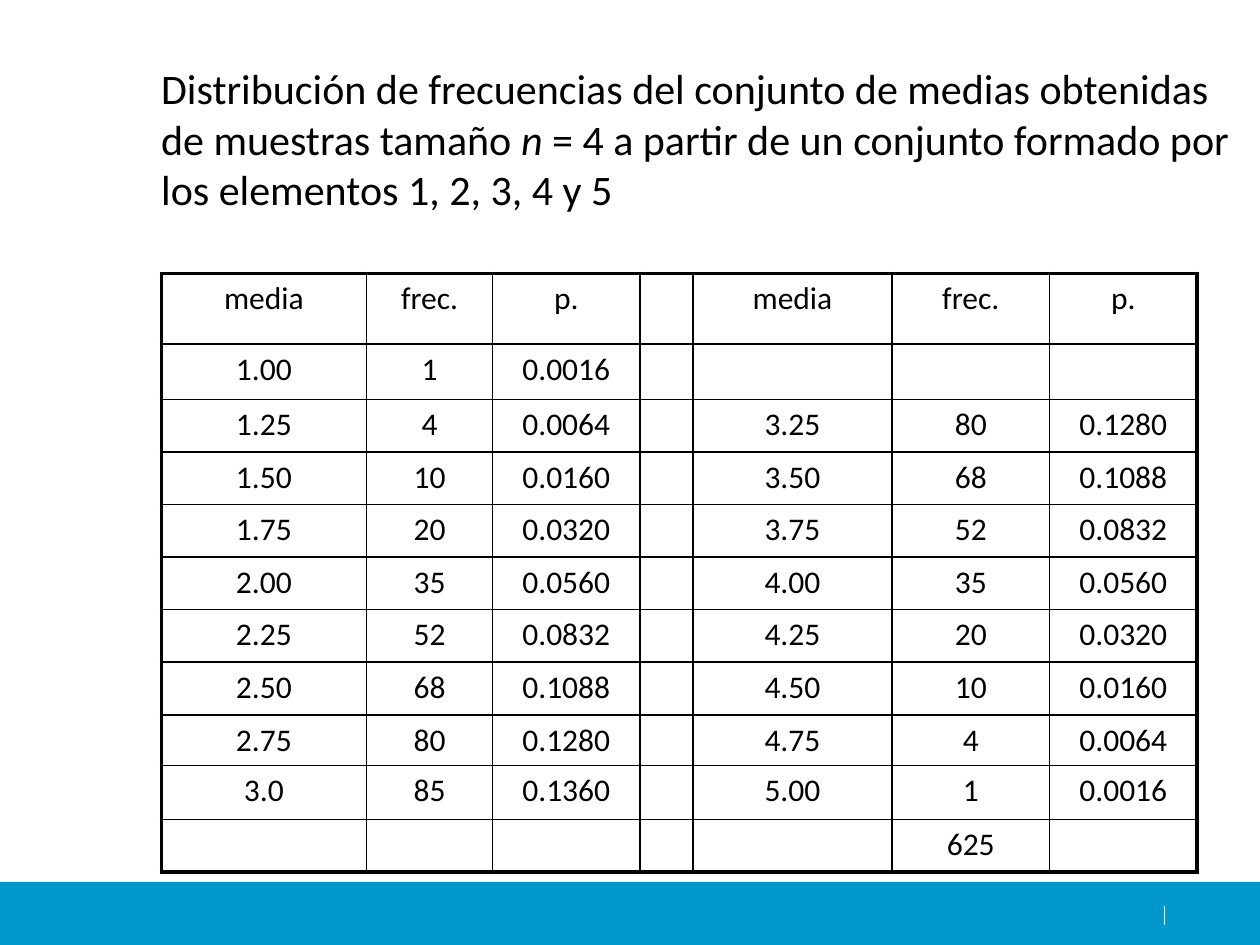
from lxml.etree import SubElement
from pptx import Presentation
from pptx.dml.color import RGBColor
from pptx.enum.shapes import MSO_CONNECTOR, MSO_SHAPE
from pptx.enum.text import PP_ALIGN
from pptx.oxml.ns import qn
from pptx.util import Cm, Pt

BLACK = RGBColor(0x00, 0x00, 0x00)
WHITE = RGBColor(0xFF, 0xFF, 0xFF)
BLUE = RGBColor(0x00, 0x97, 0xCD)
FONT = "Calibri"
THIN, THICK = 1, 2.25

COLUMN_WIDTHS = [4.14, 2.54, 2.97, 1.07, 4.01, 3.18, 2.97]
ROW_HEIGHTS = [1.42, 1.12] + [1.06] * 6 + [1.02, 1.09, 1.06]
ROWS = [
    ["media", "frec.", "p.", "", "media", "frec.", "p."],
    ["1.00", "1", "0.0016", "", "", "", ""],
    ["1.25", "4", "0.0064", "", "3.25", "80", "0.1280"],
    ["1.50", "10", "0.0160", "", "3.50", "68", "0.1088"],
    ["1.75", "20", "0.0320", "", "3.75", "52", "0.0832"],
    ["2.00", "35", "0.0560", "", "4.00", "35", "0.0560"],
    ["2.25", "52", "0.0832", "", "4.25", "20", "0.0320"],
    ["2.50", "68", "0.1088", "", "4.50", "10", "0.0160"],
    ["2.75", "80", "0.1280", "", "4.75", "4", "0.0064"],
    ["3.0", "85", "0.1360", "", "5.00", "1", "0.0016"],
    ["", "", "", "", "", "625", ""],
]


def add_text(p, text, size=18, italic=False, color=BLACK, align=None):
    """Append one formatted run to a paragraph."""
    if align is not None:
        p.alignment = align
    r = p.add_run()
    r.text = text
    r.font.name = FONT
    r.font.size = Pt(size)
    r.font.italic = italic
    r.font.color.rgb = color


def add_footer(s):
    # Blue band
    sp = s.shapes.add_shape(MSO_SHAPE.RECTANGLE, 0, Cm(17.78), Cm(25.4), Cm(1.27))
    sp.shadow.inherit = False
    sp.fill.solid()
    sp.fill.fore_color.rgb = BLUE
    sp.line.fill.background()
    # Short white separator
    mark = s.shapes.add_connector(
        MSO_CONNECTOR.STRAIGHT, Cm(23.48), Cm(18.64), Cm(23.48), Cm(18.26))
    mark.line.color.rgb = WHITE
    mark.line.width = Pt(0.75)
    SubElement(mark._element.spPr, qn("a:effectLst"))


def add_title(s):
    tf = s.shapes.add_textbox(Cm(3.25), Cm(1.27), Cm(21.59), Cm(3.18)).text_frame
    tf.word_wrap = True
    tf.margin_left = tf.margin_right = tf.margin_top = tf.margin_bottom = 0
    p = tf.paragraphs[0]
    add_text(p, "Distribución de frecuencias del conjunto de medias "
                "obtenidas de muestras tamaño ", size=24)
    add_text(p, "n", size=24, italic=True)
    add_text(p, " = 4 a partir de un conjunto formado por los elementos "
                "1, 2, 3, 4 y 5", size=24)


def set_borders(cell, **widths):
    """Draw the cell edges named L, R, T and B with widths in points."""
    tc_pr = cell._tc.get_or_add_tcPr()
    for side, width in widths.items():
        ln = SubElement(tc_pr, qn(f"a:ln{side}"), w=str(Pt(width)))
        fill = SubElement(ln, qn("a:solidFill"))
        SubElement(fill, qn("a:srgbClr"), val=str(BLACK))


def add_frequency_table(s):
    n_rows, n_cols = len(ROWS), len(COLUMN_WIDTHS)
    table = s.shapes.add_table(
        n_rows, n_cols, Cm(3.25), Cm(5.51),
        Cm(sum(COLUMN_WIDTHS)), Cm(sum(ROW_HEIGHTS))).table
    table.first_row = table.horz_banding = False
    for column, width in zip(table.columns, COLUMN_WIDTHS):
        column.width = Cm(width)
    for row, height in zip(table.rows, ROW_HEIGHTS):
        row.height = Cm(height)

    # Thick outer frame, thin inner grid
    for i, values in enumerate(ROWS):
        for j, value in enumerate(values):
            cell = table.cell(i, j)
            set_borders(
                cell,
                L=THICK if j == 0 else THIN,
                R=THICK if j == n_cols - 1 else THIN,
                T=THICK if i == 0 else THIN,
                B=THICK if i == n_rows - 1 else THIN)
            cell.fill.background()
            if value:
                add_text(cell.text_frame.paragraphs[0], value,
                         align=PP_ALIGN.CENTER)


def main():
    prs = Presentation()
    prs.slide_width, prs.slide_height = Cm(25.4), Cm(19.05)
    s = prs.slides.add_slide(prs.slide_layouts[6])
    add_footer(s)
    add_title(s)
    add_frequency_table(s)
    prs.save("out.pptx")


main()
